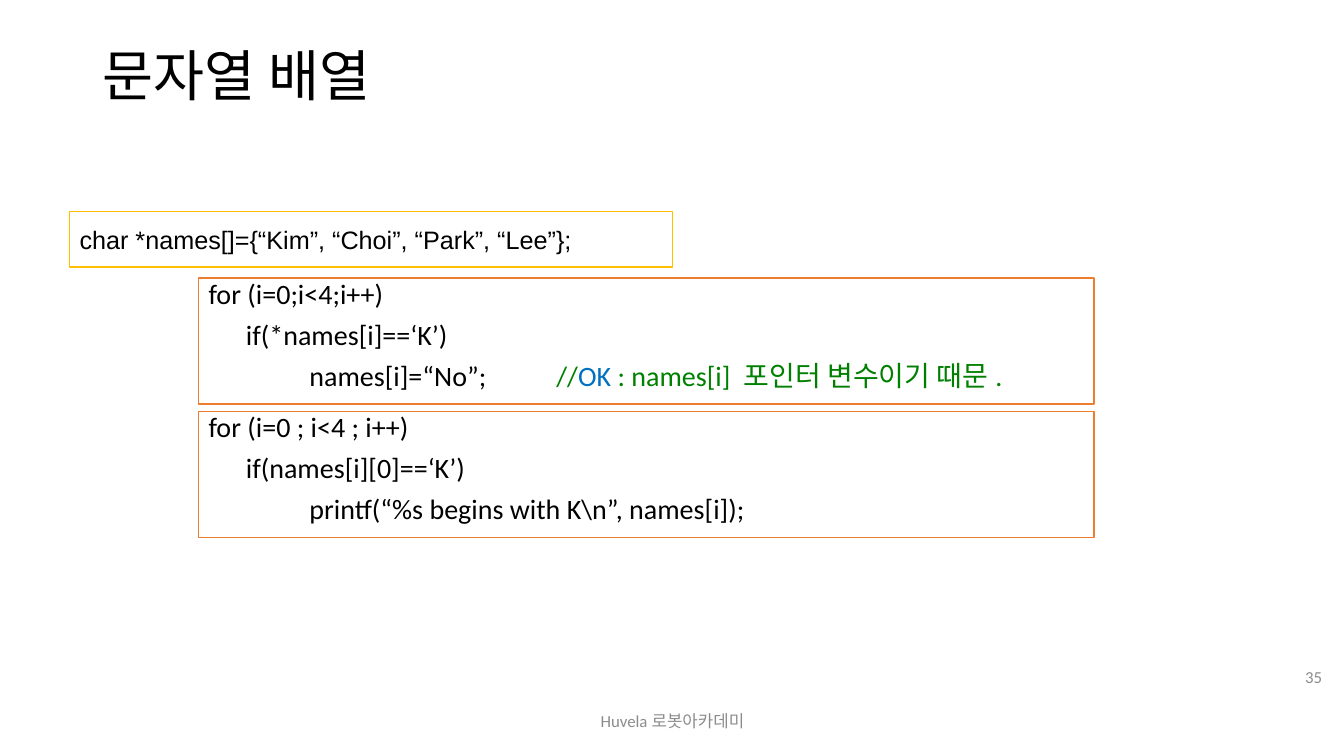
from dataclasses import dataclass

from lxml.etree import SubElement
from pptx import Presentation
from pptx.dml.color import RGBColor
from pptx.enum.shapes import MSO_SHAPE
from pptx.enum.text import MSO_ANCHOR, PP_ALIGN
from pptx.oxml.ns import qn
from pptx.util import Inches, Pt


@dataclass(frozen=True)
class Theme:
    """Fonts, colours and type sizes of the slide."""
    body_font: str = "Calibri"
    code_font: str = "Arial"
    black: str = "000000"
    white: str = "FFFFFF"
    grey: str = "8C8C8C"
    yellow: str = "FFC000"
    orange: str = "ED7D31"
    green: str = "008000"
    blue: str = "0070C0"
    title_size: float = 39.6
    declaration_size: float = 18
    code_size: float = 20
    footer_size: float = 12


THEME = Theme()
LOOP_LEFT, LOOP_WIDTH, LOOP_HEIGHT = 1.97, 8.88, 1.25
IF_STOP, BODY_STOP, COMMENT_STOP = 0.37, 1, 3.45


def style_run(run, size, color=THEME.black, font=THEME.body_font):
    """Set the font, size and colour of a run."""
    run.font.name = font
    run.font.size = Pt(size)
    run.font.bold = False
    run.font.color.rgb = RGBColor.from_string(color)


def add_title(slide, words):
    """Fill and place the title placeholder."""
    title = slide.shapes.title
    title.left, title.top = Inches(0.92), Inches(0.4)
    title.width, title.height = Inches(11.5), Inches(0.75)
    frame = title.text_frame
    frame.text = words
    frame.vertical_anchor = MSO_ANCHOR.MIDDLE
    heading = frame.paragraphs[0]
    heading.alignment = PP_ALIGN.LEFT
    heading.line_spacing = 0.9
    style_run(heading.runs[0], THEME.title_size)


def add_footer(slide, words, left, top, width, alignment):
    """Add a small grey text in the footer area."""
    footer = slide.shapes.add_textbox(Inches(left), Inches(top), Inches(width), Inches(0.4))
    frame = footer.text_frame
    frame.word_wrap = True
    frame.vertical_anchor = MSO_ANCHOR.MIDDLE
    frame.text = words
    frame.paragraphs[0].alignment = alignment
    style_run(frame.paragraphs[0].runs[0], THEME.footer_size, THEME.grey)


def add_code_box(slide, left, top, width, height, border, anchor):
    """Add a white outlined rectangle and return its text frame."""
    box = slide.shapes.add_shape(
        MSO_SHAPE.RECTANGLE, Inches(left), Inches(top), Inches(width), Inches(height))
    box.shadow.inherit = False
    box.fill.solid()
    box.fill.fore_color.rgb = RGBColor.from_string(THEME.white)
    box.line.color.rgb = RGBColor.from_string(border)
    box.line.width = Pt(1)
    frame = box.text_frame
    frame.word_wrap = True
    frame.vertical_anchor = anchor
    return frame


def add_declaration(slide, code):
    """Add the box that declares the array."""
    frame = add_code_box(slide, 0.69, 2.1, 5.98, 0.55, THEME.yellow, MSO_ANCHOR.MIDDLE)
    frame.text = code
    frame.paragraphs[0].alignment = PP_ALIGN.LEFT
    style_run(frame.paragraphs[0].runs[0], THEME.declaration_size, font=THEME.code_font)


def set_tab_stops(paragraph, stops):
    """Give a paragraph left tab stops, in inches."""
    tab_list = SubElement(paragraph._p.get_or_add_pPr(), qn("a:tabLst"))
    for stop in stops:
        SubElement(tab_list, qn("a:tab"), pos=str(Inches(stop)), algn="l")


def add_loop(slide, top, lines):
    """Add a loop box from lines of tab stops and coloured parts."""
    frame = add_code_box(slide, LOOP_LEFT, top, LOOP_WIDTH, LOOP_HEIGHT,
                         THEME.orange, MSO_ANCHOR.TOP)
    for index, (stops, parts) in enumerate(lines):
        line = frame.add_paragraph() if index else frame.paragraphs[0]
        line.alignment = PP_ALIGN.LEFT
        line.line_spacing = 0.8
        line.space_before = Pt(THEME.code_size / 2 if index else 0)
        if stops:
            set_tab_stops(line, stops)
        for words, color in parts:
            run = line.add_run()
            run.text = words
            style_run(run, THEME.code_size, color)


def main():
    """Build the slide and save it."""
    deck = Presentation()
    deck.slide_width, deck.slide_height = Inches(13.33), Inches(7.5)
    slide = deck.slides.add_slide(deck.slide_layouts[5])
    add_title(slide, "문자열 배열")
    add_footer(slide, "Huvela로봇아카데미", 4.42, 6.95, 4.5, PP_ALIGN.CENTER)
    add_footer(slide, "35", 12.59, 6.51, 0.62, PP_ALIGN.RIGHT)
    add_declaration(slide, "char *names[]={“Kim”, “Choi”, “Park”, “Lee”};")
    add_loop(slide, 2.76, [
        ([], [("for (i=0;i<4;i++)", THEME.black)]),
        ([IF_STOP], [("\tif(*names[i]==‘K’)", THEME.black)]),
        ([BODY_STOP, COMMENT_STOP], [
            ("\tnames[i]=“No”;\t", THEME.black),
            ("//", THEME.green),
            ("OK", THEME.blue),
            (" : names[i] 포인터 변수이기 때문.", THEME.green),
        ]),
    ])
    add_loop(slide, 4.08, [
        ([], [("for (i=0 ; i<4 ; i++)", THEME.black)]),
        ([IF_STOP], [("\tif(names[i][0]==‘K’)", THEME.black)]),
        ([BODY_STOP], [("\tprintf(“%s begins with K\\n”, names[i]);", THEME.black)]),
    ])
    deck.save("out.pptx")


if __name__ == "__main__":
    main()
